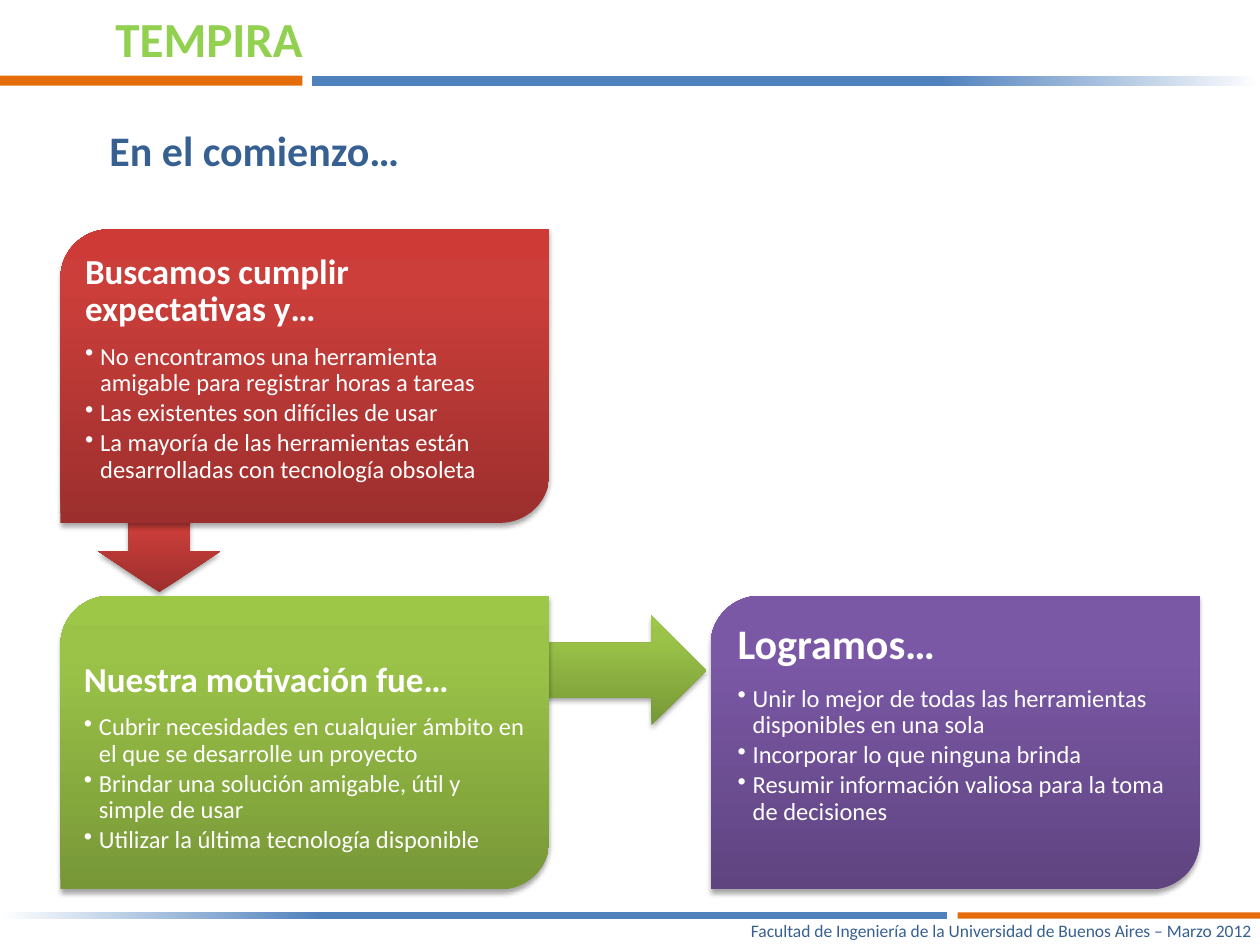
from dataclasses import dataclass
from copy import deepcopy
from typing import Any, Optional

from lxml import etree
from pptx import Presentation, util as u
from pptx.dml.color import RGBColor
from pptx.enum import shapes, text
from pptx.oxml import ns

WHITE = RGBColor(0xFF, 0xFF, 0xFF)
BLUE = RGBColor(0x4F, 0x81, 0xBD)
NAVY = RGBColor(0x37, 0x60, 0x92)
ORANGE = RGBColor(0xE4, 0x6C, 0x0A)
LIME = RGBColor(0x92, 0xD0, 0x50)
REDS = [RGBColor(0x9C, 0x2F, 0x2D), RGBColor(0xCB, 0x3E, 0x3A), RGBColor(0xCE, 0x3B, 0x37)]
GREENS = [RGBColor(0x77, 0x97, 0x37), RGBColor(0x9B, 0xC3, 0x48), RGBColor(0x9D, 0xC7, 0x46)]
PURPLES = [RGBColor(0x5F, 0x44, 0x80), RGBColor(0x7B, 0x58, 0xA6), RGBColor(0x7C, 0x57, 0xA8)]

FONT = "Calibri"
CARD_W, CARD_H, CARD_PAD = 3.88, 2.33, 0.115
LEFT_X, RIGHT_X = 0.48, 5.64
UPPER_Y, LOWER_Y = 1.82, 4.73
INDENT = 0.12

Box = tuple[float, float, float, float]
Kind = shapes.MSO_SHAPE


@dataclass
class Arrow:
    kind: Any
    box: Box
    rotation: float = 0


@dataclass
class Card:
    x: float
    y: float
    colors: list[RGBColor]
    title: str
    size: int
    inset: float
    top_inset: float
    bullets: list[str]
    arrow: Optional[Arrow] = None


@dataclass
class Label:
    box: Box
    words: str
    size: int
    color: RGBColor
    bold: bool
    align: Any
    frame: dict[str, Any]


CARDS = [
    Card(LEFT_X, UPPER_Y, REDS, "Buscamos cumplir expectativas y…", 20, 0.08, 0.08, [
        "No encontramos una herramienta amigable para registrar horas a tareas",
        "Las existentes son difíciles de usar",
        "La mayoría de las herramientas están desarrolladas con tecnología obsoleta",
    ], Arrow(Kind.DOWN_ARROW, (0.78, 4.05, 0.97, 0.65))),
    Card(LEFT_X, LOWER_Y, GREENS, "Nuestra motivación fue…", 20, 0.07, 0.41, [
        "Cubrir necesidades en cualquier ámbito en el que se desarrolle un proyecto",
        "Brindar una solución amigable, útil y simple de usar",
        "Utilizar la última tecnología disponible",
    ], Arrow(Kind.UP_ARROW, (4.42, 4.57, 0.87, 1.5), 90)),
    Card(RIGHT_X, LOWER_Y, PURPLES, "Logramos…", 24, 0.1, 0.1, [
        "Unir lo mejor de todas las herramientas disponibles en una sola",
        "Incorporar lo que ninguna brinda",
        "Resumir información valiosa para la toma de decisiones",
    ]),
]

LABELS = [
    Label((0.42, 0.02, 2.08, 0.57), "TEMPIRA", 28, LIME, True, text.PP_ALIGN.RIGHT,
          {"word_wrap": True, "auto_size": text.MSO_AUTO_SIZE.SHAPE_TO_FIT_TEXT}),
    Label((5.06, 7.19, 5.77, 0.39),
          "Facultad de Ingeniería de la Universidad de Buenos Aires – Marzo 2012",
          10, NAVY, False, text.PP_ALIGN.CENTER,
          {"word_wrap": True, "vertical_anchor": text.MSO_ANCHOR.MIDDLE}),
    Label((0.77, 0.94, 2.55, 0.5), "En el comienzo…", 24, NAVY, True, text.PP_ALIGN.LEFT,
          {"word_wrap": False, "auto_size": text.MSO_AUTO_SIZE.SHAPE_TO_FIT_TEXT}),
]


def set_all(target: Any, values: dict[str, Any]) -> None:
    for name, value in values.items():
        setattr(target, name, value)


def inches(box: Box) -> list[u.Length]:
    return [u.Inches(v) for v in box]


def add_run(p: Any, words: str, size: int, color: RGBColor, bold: bool) -> None:
    r = p.add_run()
    r.text = words
    set_all(r.font, {"name": FONT, "size": u.Pt(size), "bold": bold})
    r.font.color.rgb = color


def add_shape(s: Any, kind: Any, box: Box) -> Any:
    sp = s.shapes.add_shape(kind, *inches(box))
    sp.shadow.inherit = False
    sp.line.fill.background()
    return sp


def fill_gradient(sp: Any, colors: list[RGBColor], middle: float, angle: float) -> None:
    fill = sp.fill
    fill.gradient()
    fill.gradient_angle = angle
    grad = sp.element.spPr.find(ns.qn("a:gradFill"))
    grad.set("rotWithShape", "0")
    stops = grad.find(ns.qn("a:gsLst"))
    stops.append(deepcopy(stops[-1]))
    for stop, color, position in zip(fill.gradient_stops, colors, (0, middle, 1)):
        stop.color.rgb = color
        stop.position = position


def add_shadow(sp: Any) -> None:
    effects = sp.element.spPr.find(ns.qn("a:effectLst"))
    shadow = etree.SubElement(effects, ns.qn("a:outerShdw"), blurRad=str(u.Pt(3.1)),
                              dist=str(u.Pt(1.8)), dir="5400000", rotWithShape="0")
    color = etree.SubElement(shadow, ns.qn("a:srgbClr"), val="000000")
    etree.SubElement(color, ns.qn("a:alpha"), val="35000")


def add_glossy(s: Any, kind: Any, box: Box, colors: list[RGBColor], rotation: float = 0) -> None:
    sp = add_shape(s, kind, box)
    sp.rotation = rotation
    fill_gradient(sp, colors, 0.8, 90)
    add_shadow(sp)


def add_bars(s: Any, y: float, height: float, blue_x: float, orange_x: float, angle: float) -> None:
    fade = add_shape(s, Kind.RECTANGLE, (blue_x, y, 7.52, height))
    fill_gradient(fade, [WHITE, BLUE, BLUE], 0.34, angle)
    accent = add_shape(s, Kind.RECTANGLE, (orange_x, y, 2.4, height))
    accent.fill.solid()
    accent.fill.fore_color.rgb = ORANGE


def add_label(s: Any, label: Label) -> None:
    tf = s.shapes.add_textbox(*inches(label.box)).text_frame
    set_all(tf, label.frame)
    p = tf.paragraphs[0]
    p.alignment = label.align
    add_run(p, label.words, label.size, label.color, label.bold)


def add_bullet(p: Any) -> None:
    p.level = 1
    props = p._p.get_or_add_pPr()
    props.set("marL", str(u.Inches(INDENT)))
    props.set("indent", str(-u.Inches(INDENT)))
    etree.SubElement(props, ns.qn("a:buChar"), char="•")


def add_card(s: Any, card: Card) -> None:
    if card.arrow:
        add_glossy(s, card.arrow.kind, card.arrow.box, card.colors, card.arrow.rotation)
    add_glossy(s, Kind.ROUND_2_DIAG_RECTANGLE, (card.x, card.y, CARD_W, CARD_H), card.colors)
    tf = s.shapes.add_textbox(*inches((card.x + CARD_PAD, card.y + CARD_PAD,
                                       CARD_W - 2 * CARD_PAD, CARD_H - 2 * CARD_PAD))).text_frame
    inset = u.Inches(card.inset)
    set_all(tf, {"word_wrap": True, "margin_left": inset, "margin_right": inset,
                 "margin_top": u.Inches(card.top_inset), "margin_bottom": inset})
    p = tf.paragraphs[0]
    set_all(p, {"line_spacing": 0.9, "space_after": u.Pt(0.42 * card.size)})
    add_run(p, card.title, card.size, WHITE, True)
    for bullet in card.bullets:
        p = tf.add_paragraph()
        set_all(p, {"line_spacing": 0.9, "space_after": u.Pt(2)})
        add_bullet(p)
        add_run(p, bullet, 14, WHITE, False)


def main() -> None:
    prs = Presentation()
    set_all(prs, {"slide_width": u.Inches(10), "slide_height": u.Inches(7.5)})
    s = prs.slides.add_slide(prs.slide_layouts[6])
    add_bars(s, 0.6, 0.08, 2.48, 0, 180)
    add_bars(s, 7.24, 0.05, 0, 7.6, 0)
    for label in LABELS:
        add_label(s, label)
    for card in CARDS:
        add_card(s, card)
    prs.save("out.pptx")


if __name__ == "__main__":
    main()
